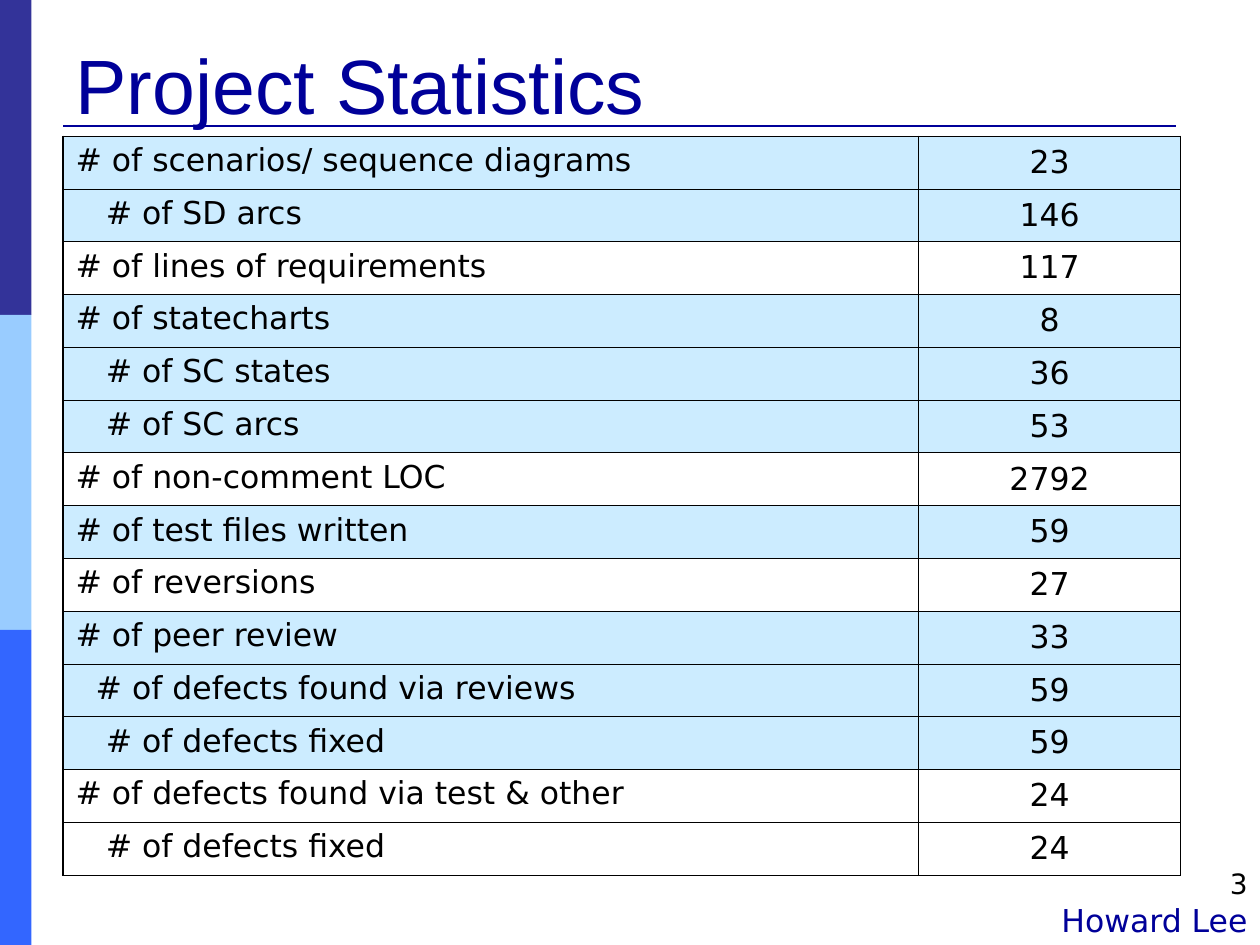
"""Build the project statistics slide."""
from lxml import etree
from pptx import Presentation
from pptx import util as u
from pptx.dml.color import RGBColor
from pptx.enum import shapes, text
from pptx.oxml.ns import qn

HUES = {"navy": "000099", "ink": "000000", "pale": "CCECFF",
        "top": "333399", "mid": "99CCFF", "low": "3366FF"}
LEFT, MID, RIGHT = text.PP_ALIGN.LEFT, text.PP_ALIGN.CENTER, text.PP_ALIGN.RIGHT
ROWS = [
    ("# of scenarios/ sequence diagrams", 23, 0, True),
    ("# of SD arcs", 146, 3, True),
    ("# of lines of requirements", 117, 0, False),
    ("# of statecharts", 8, 0, True),
    ("# of SC states", 36, 3, True),
    ("# of SC arcs", 53, 3, True),
    ("# of non-comment LOC", 2792, 0, False),
    ("# of test files written", 59, 0, True),
    ("# of reversions", 27, 0, False),
    ("# of peer review", 33, 0, True),
    ("# of defects found via reviews", 59, 2, True),
    ("# of defects fixed", 59, 3, True),
    ("# of defects found via test & other", 24, 0, False),
    ("# of defects fixed", 24, 3, False),
]


class Deck:
    """Hold the style and the current slide."""

    def __init__(self):
        self.prs = Presentation()
        self.prs.slide_width, self.prs.slide_height = u.Inches(10), u.Inches(7.5)
        self.slide = self.prs.slides.add_slide(self.prs.slide_layouts[5])
        self.font = "DejaVu Sans"

    def hue(self, name):
        return RGBColor.from_string(HUES[name])

    def box(self, *dims):
        return [u.Inches(dim) for dim in dims]

    def words(self, frame, words, size, hue="ink", align=LEFT, font=None):
        frame.text = words
        para = frame.paragraphs[0]
        para.alignment = align
        face = para.runs[0].font
        face.name, face.size = font or self.font, u.Pt(size)
        face.color.rgb = self.hue(hue)

    def bar(self, dims, hue):
        bar = self.slide.shapes.add_shape(shapes.MSO_SHAPE.RECTANGLE, *self.box(*dims))
        bar.shadow.inherit = False
        bar.fill.solid()
        bar.fill.fore_color.rgb = self.hue(hue)
        bar.line.fill.background()

    def rule(self, ends, hue, width):
        rule = self.slide.shapes.add_connector(
            shapes.MSO_CONNECTOR.STRAIGHT, *self.box(*ends))
        rule.line.color.rgb, rule.line.width = self.hue(hue), u.Pt(width)
        etree.SubElement(rule._element.spPr, qn("a:effectLst"))

    def title(self, dims, words):
        title = self.slide.shapes.title
        title.left, title.top, title.width, title.height = self.box(*dims)
        frame = title.text_frame
        frame.auto_size = text.MSO_AUTO_SIZE.NONE
        frame.vertical_anchor = text.MSO_ANCHOR.BOTTOM
        self.words(frame, words, 44, "navy", font="Arial")

    def label(self, dims, words, size, hue):
        frame = self.slide.shapes.add_textbox(*self.box(*dims)).text_frame
        frame.word_wrap = True
        self.words(frame, words, size, hue, RIGHT)

    def edge(self, cell, first):
        props = cell._tc.get_or_add_tcPr()
        for spot, side in enumerate("LRTB"):
            width = 1.08 if first and side == "L" else 0.45
            line = etree.Element(qn("a:ln" + side), w=str(u.Pt(width)))
            fill = etree.SubElement(line, qn("a:solidFill"))
            etree.SubElement(fill, qn("a:srgbClr"), val=HUES["ink"])
            props.insert(spot, line)

    def table(self, dims, cols, rows):
        table = self.slide.shapes.add_table(len(rows), len(cols), *self.box(*dims)).table
        table.first_row = table.horz_banding = False
        for col, width in zip(table.columns, cols):
            col.width = u.Inches(width)
        for row, (name, count, indent, shade) in zip(table.rows, rows):
            head, value = row.cells
            self.words(head.text_frame, name, 18)
            head.margin_left = u.Inches(0.1 + 0.08 * indent)
            self.words(value.text_frame, str(count), 18, align=MID)
            value.vertical_anchor = text.MSO_ANCHOR.MIDDLE
            for cell in (head, value):
                if shade:
                    cell.fill.solid()
                    cell.fill.fore_color.rgb = self.hue("pale")
                else:
                    cell.fill.background()
                self.edge(cell, cell is head)


def main():
    deck = Deck()
    for step, hue in enumerate(("top", "mid", "low")):
        deck.bar((0, 2.5 * step, 0.25, 2.5), hue)
    deck.rule((0.5, 1, 9.33, 1), "navy", 1.5)
    deck.title((0.5, 0.08, 9, 1), "Project Statistics")
    deck.table((0.5, 1.08, 8.87, 5.87), (6.79, 2.08), ROWS)
    deck.label((5.33, 7.1, 4.67, 0.4), "Howard Lee", 18, "navy")
    deck.label((9, 6.83, 1, 0.67), "3", 16, "ink")
    deck.prs.save("out.pptx")


if __name__ == "__main__":
    main()
